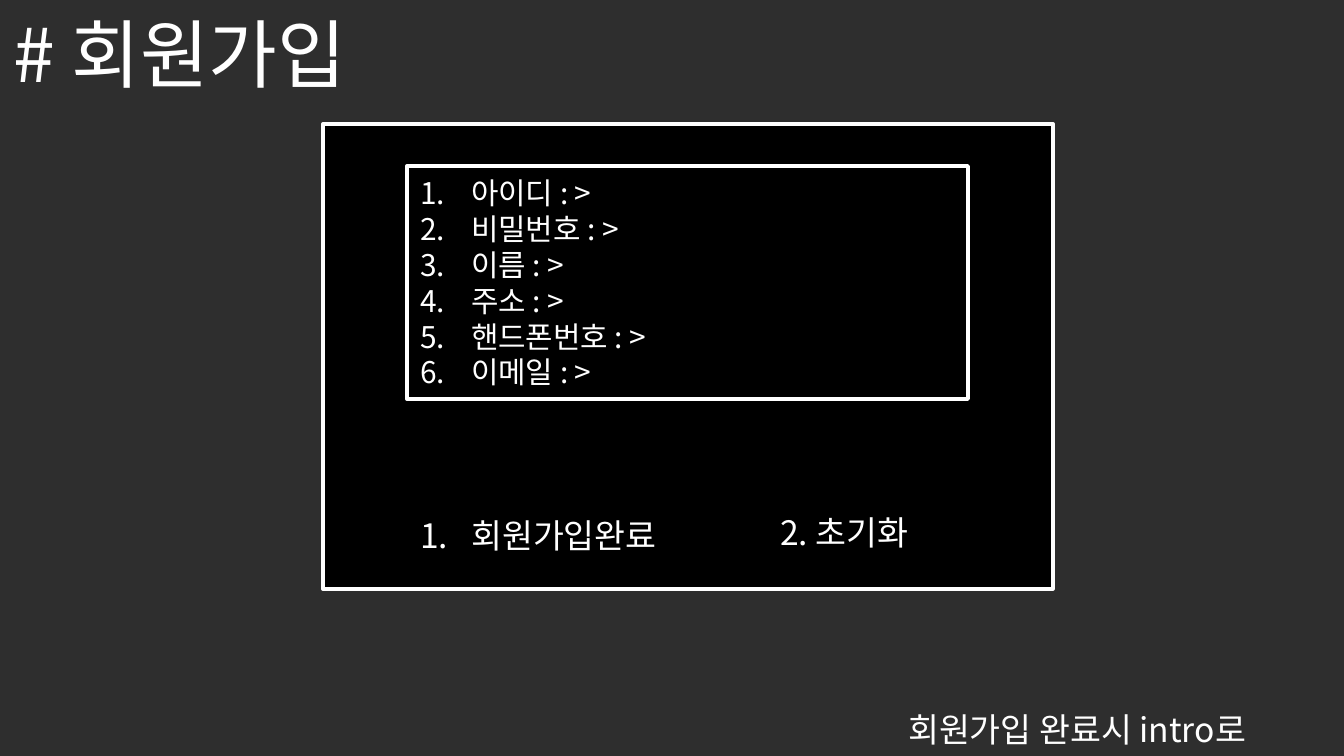
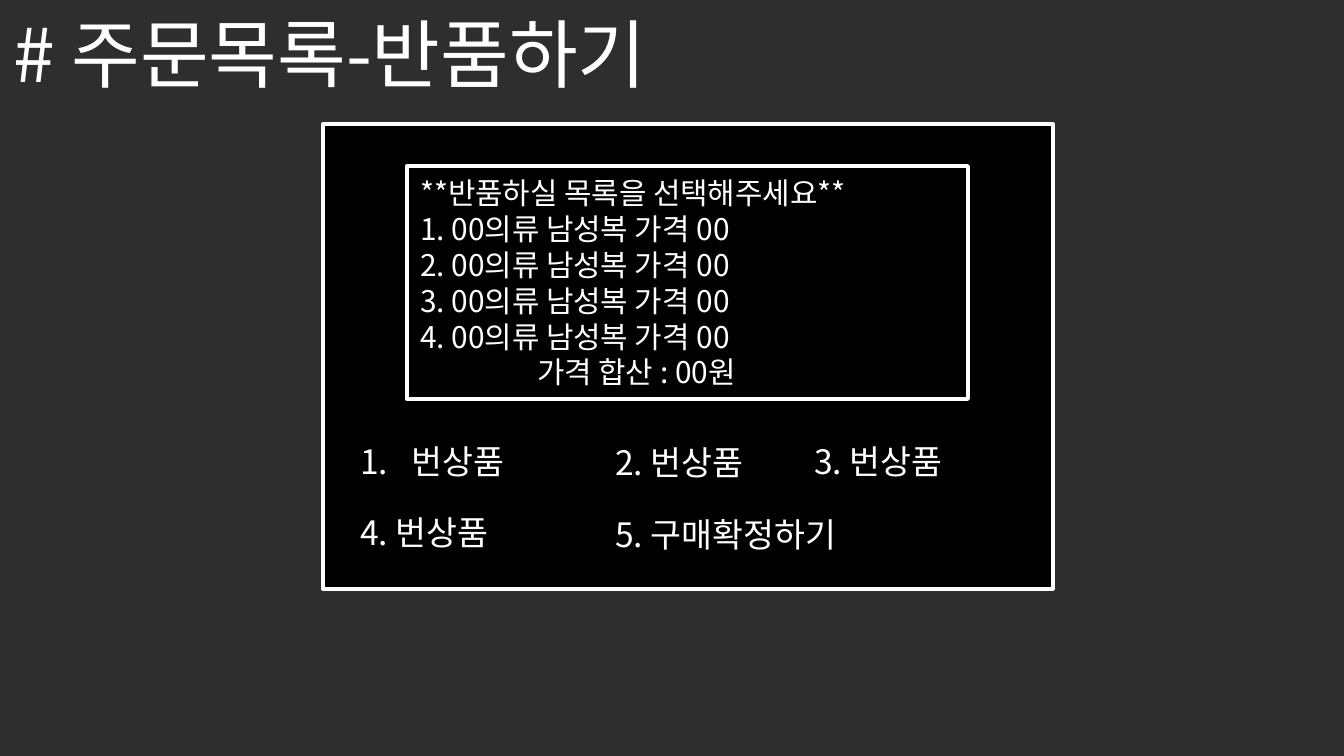
from dataclasses import dataclass

from lxml import etree
from pptx import Presentation
from pptx import util as u
from pptx.dml.color import RGBColor
from pptx.enum import shapes, text
from pptx.oxml.ns import qn

EMU_PER_PX = 914400 / 134.4
TITLE_ONLY = 5
NUMBER_INDENT = 51
TOTAL_INDENT = 117
LABEL_HEIGHT = 54


@dataclass(frozen=True)
class Theme:
    """Colours, font and sizes shared by the slides."""
    backdrop: RGBColor = RGBColor(0x2E, 0x2E, 0x2E)
    panel: RGBColor = RGBColor(0, 0, 0)
    ink: RGBColor = RGBColor(255, 255, 255)
    font: str = "Noto Sans CJK KR"
    title_size: int = 40
    label_size: int = 18
    list_size: int = 16
    border: int = 2


THEME = Theme()


def px(length):
    """Turn pixels into EMU."""
    return u.Emu(round(length * EMU_PER_PX))


def place(shape, left, top, width, height):
    """Position and size a shape in pixels."""
    shape.left, shape.top = px(left), px(top)
    shape.width, shape.height = px(width), px(height)


def write(paragraph, wording, size):
    """Add one styled run to a left-aligned paragraph."""
    paragraph.alignment = text.PP_ALIGN.LEFT
    run = paragraph.add_run()
    run.text = wording
    run.font.size = u.Pt(size)
    run.font.color.rgb = THEME.ink
    run.font.name = THEME.font
    east_asian = etree.SubElement(run.font._element, qn("a:ea"))
    east_asian.set("typeface", THEME.font)


def indent(paragraph, left, numbered=False):
    """Indent a paragraph, with automatic numbering if wanted."""
    properties = paragraph._p.get_or_add_pPr()
    properties.set("marL", str(px(left)))
    properties.set("indent", str(px(-left) if numbered else 0))
    if numbered:
        bullet = etree.SubElement(properties, qn("a:buAutoNum"))
        bullet.set("type", "arabicPeriod")


def add_screen_slide(presentation, title, title_width):
    """Add a slide with its title and the console screen."""
    slide = presentation.slides.add_slide(presentation.slide_layouts[TITLE_ONLY])
    slide.background.fill.solid()
    slide.background.fill.fore_color.rgb = THEME.backdrop
    heading = slide.shapes.title
    place(heading, 0, 1, title_width, 103)
    frame = heading.text_frame
    frame.word_wrap = False
    frame.auto_size = text.MSO_AUTO_SIZE.SHAPE_TO_FIT_TEXT
    frame.vertical_anchor = text.MSO_ANCHOR.TOP
    write(frame.paragraphs[0], title, THEME.title_size)
    add_panel(slide, 323, 124, 730, 465)
    return slide


def add_panel(slide, left, top, width, height):
    """Add a black rectangle with a white border."""
    panel = slide.shapes.add_shape(
        shapes.MSO_SHAPE.RECTANGLE, px(left), px(top), px(width), px(height))
    panel.shadow.inherit = False
    panel.fill.solid()
    panel.fill.fore_color.rgb = THEME.panel
    panel.line.color.rgb = THEME.ink
    panel.line.width = u.Pt(THEME.border)
    return panel


def add_list_panel(slide, lines):
    """Add the inner panel with lines of (wording, indent, numbered)."""
    frame = add_panel(slide, 407, 166, 561, 233).text_frame
    frame.word_wrap = True
    frame.vertical_anchor = text.MSO_ANCHOR.MIDDLE
    for index, (wording, left, numbered) in enumerate(lines):
        paragraph = frame.add_paragraph() if index else frame.paragraphs[0]
        if left:
            indent(paragraph, left, numbered)
        write(paragraph, wording, THEME.list_size)


def add_label(slide, wording, left, top, width, numbered=False):
    """Add a one-line label, such as a menu choice."""
    box = slide.shapes.add_textbox(px(left), px(top), px(width), px(LABEL_HEIGHT))
    frame = box.text_frame
    frame.word_wrap = False
    frame.auto_size = text.MSO_AUTO_SIZE.SHAPE_TO_FIT_TEXT
    if numbered:
        indent(frame.paragraphs[0], NUMBER_INDENT, True)
    write(frame.paragraphs[0], wording, THEME.label_size)


def build_sign_up(presentation):
    """Build the sign-up screen."""
    slide = add_screen_slide(presentation, "# 회원가입", 401)
    fields = ["아이디", "비밀번호", "이름", "주소", "핸드폰번호", "이메일"]
    add_list_panel(slide, [(f"{field} : >", NUMBER_INDENT, True) for field in fields])
    add_label(slide, "회원가입완료", 407, 508, 282, numbered=True)
    add_label(slide, "2. 초기화", 767, 505, 167)
    add_label(slide, "회원가입 완료시 intro로", 895, 702, 394)


def build_returns(presentation):
    """Build the order list screen for returns."""
    slide = add_screen_slide(presentation, "# 주문목록-반품하기", 734)
    orders = [(f"{number}. 00의류 남성복 가격 00", 0, False) for number in range(1, 5)]
    add_list_panel(slide, [
        ("**반품하실 목록을 선택해주세요**", 0, False),
        *orders,
        ("가격 합산 : 00원", TOTAL_INDENT, False),
    ])
    add_label(slide, "번상품", 347, 434, 180, numbered=True)
    add_label(slide, "2. 번상품", 602, 435, 167)
    add_label(slide, "3. 번상품", 801, 434, 167)
    add_label(slide, "4. 번상품", 347, 505, 167)
    add_label(slide, "5. 구매확정하기", 602, 507, 269)


def main():
    """Build and save the presentation."""
    presentation = Presentation()
    presentation.slide_width, presentation.slide_height = px(1344), px(756)
    build_sign_up(presentation)
    build_returns(presentation)
    presentation.save("out.pptx")


if __name__ == "__main__":
    main()
